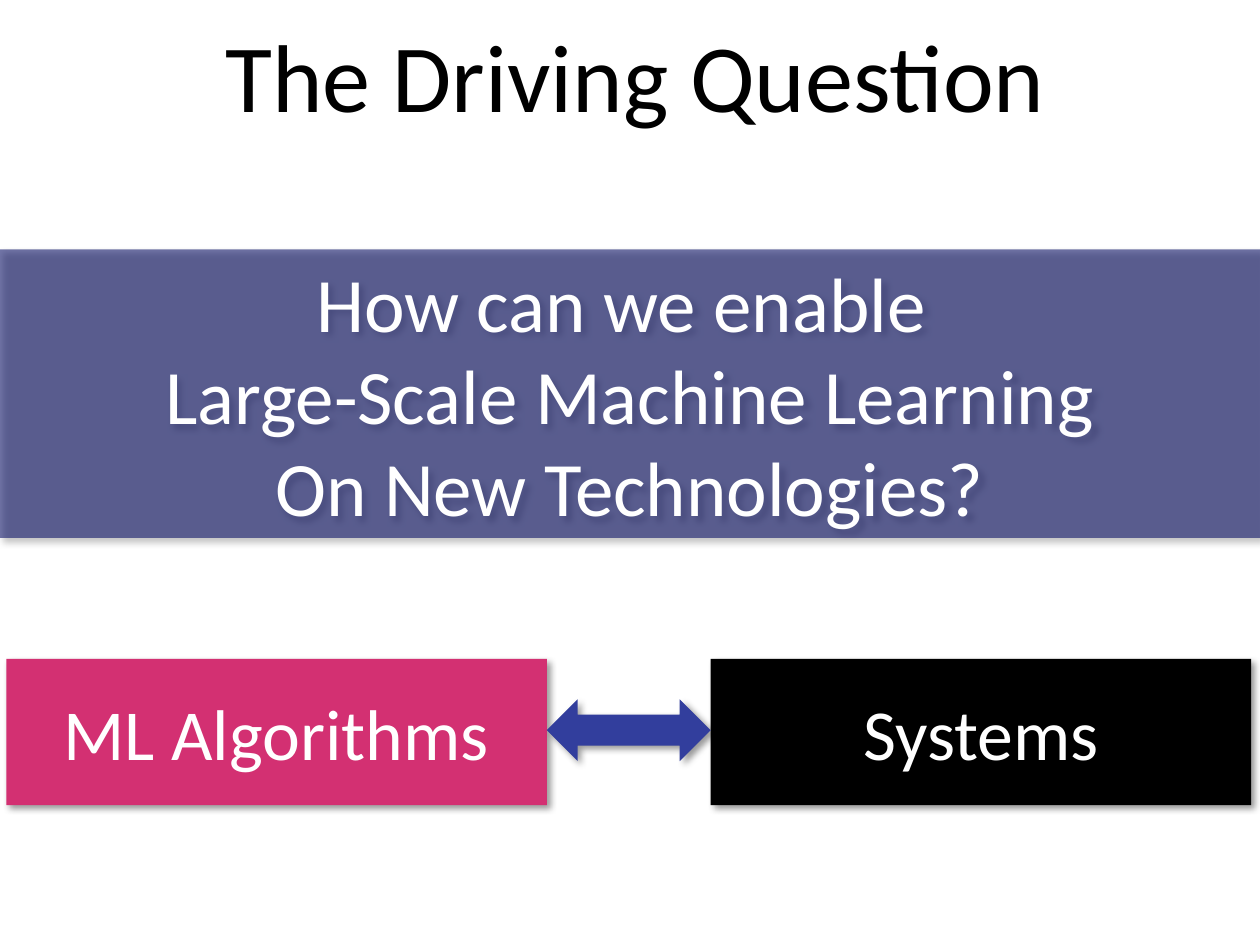
from lxml import etree
from pptx import Presentation
from pptx.dml.color import RGBColor
from pptx.enum import shapes, text
from pptx.oxml.ns import qn
from pptx.util import Inches, Pt

WHITE = RGBColor(0xFF, 0xFF, 0xFF)
BLACK = RGBColor(0, 0, 0)
NAVY = RGBColor(0x0C, 0x12, 0x68)
PINK = RGBColor(0xD3, 0x30, 0x72)
BLUE = RGBColor(0x32, 0x3E, 0x9D)
FONT = "Calibri"


def place(item, left, top, width, height):
    item.left, item.top = Inches(left), Inches(top)
    item.width, item.height = Inches(width), Inches(height)


def write(frame, lines, size, color):
    frame.word_wrap = True
    frame.auto_size = text.MSO_AUTO_SIZE.NONE
    frame.vertical_anchor = text.MSO_ANCHOR.MIDDLE
    for i, line in enumerate(lines):
        para = frame.add_paragraph() if i else frame.paragraphs[0]
        para.alignment = text.PP_ALIGN.CENTER
        run = para.add_run()
        run.text = line
        run.font.name = FONT
        run.font.size = Pt(size)
        run.font.color.rgb = color


def add_alpha(color, percent):
    etree.SubElement(color, qn("a:alpha"), val=str(percent * 1000))


def add_shadow(shape):
    shape.shadow.inherit = False
    effects = shape._element.spPr.find(qn("a:effectLst"))
    outer = etree.SubElement(
        effects, qn("a:outerShdw"), blurRad=str(Pt(4)), dist=str(Pt(3)),
        dir=str(45 * 60000), algn="tl", rotWithShape="0")
    add_alpha(etree.SubElement(outer, qn("a:srgbClr"), val=str(BLACK)), 40)


def add_block(slide, kind, box, color):
    shape = slide.shapes.add_shape(kind, *map(Inches, box))
    shape.fill.solid()
    shape.fill.fore_color.rgb = color
    shape.line.fill.background()
    add_shadow(shape)
    return shape


def main():
    deck = Presentation()
    deck.slide_width, deck.slide_height = Inches(10), Inches(7.5)
    slide = deck.slides.add_slide(deck.slide_layouts[5])
    rect = shapes.MSO_SHAPE.RECTANGLE

    # Title
    title = slide.shapes.title
    place(title, 0.04, -0.22, 10, 1.61)
    write(title.text_frame, ["The Driving Question"], 55, BLACK)

    # Question banner, partly transparent
    banner = add_block(slide, rect, (0, 1.98, 10, 2.29), NAVY)
    add_alpha(banner._element.spPr.find(
        qn("a:solidFill")).find(qn("a:srgbClr")), 58)
    write(banner.text_frame, ["How can we enable ",
                              "Large-Scale Machine Learning",
                              "On New Technologies?"], 44, WHITE)

    # The two sides
    left, width, gap = 0.05, 4.29, 1.3
    sides = [("Systems", left + width + gap, BLACK),
             ("ML Algorithms", left, PINK)]
    for label, x, color in sides:
        side = add_block(slide, rect, (x, 5.23, width, 1.16), color)
        write(side.text_frame, [label], 41, WHITE)

    # Arrow filling the gap between them
    add_block(slide, shapes.MSO_SHAPE.LEFT_RIGHT_ARROW,
              (left + width, 5.55, gap, 0.49), BLUE)

    deck.save("out.pptx")


if __name__ == "__main__":
    main()
